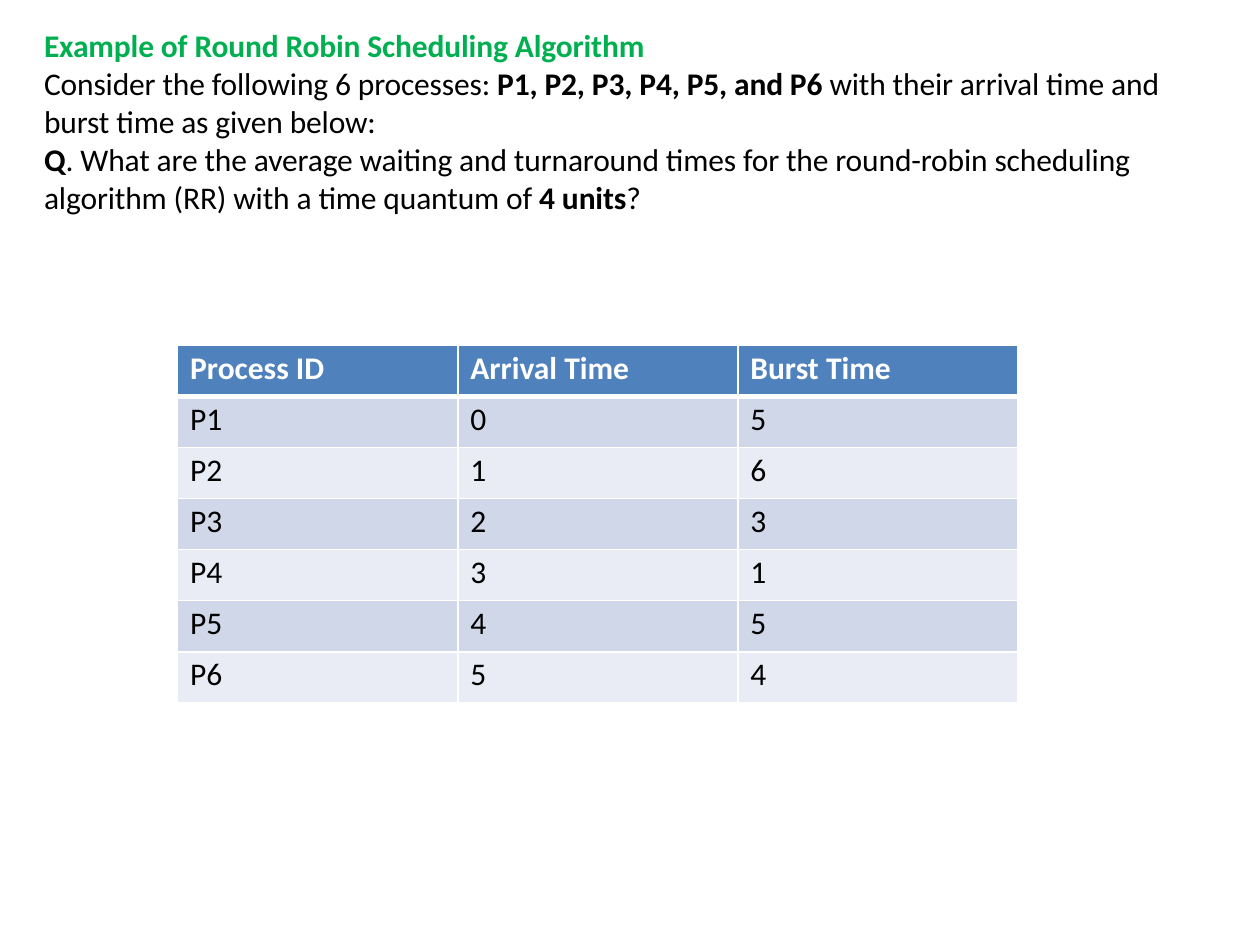
from lxml import etree
from pptx import Presentation
from pptx.dml.color import RGBColor
from pptx.oxml.ns import qn
from pptx.util import Inches, Pt

COLORS = {
    "title": "00AF50", "text": "000000", "header": "4F81BC",
    "odd": "D0D7E8", "even": "E9ECF4", "white": "FFFFFF",
}
FONT, SIZE = "Calibri", 18
TRACKING = -8  # hundredths of a point

# Each line is a list of (wording, bold) runs.
QUESTION = [
    [("Example of Round Robin Scheduling Algorithm", True)],
    [("Consider the following 6 processes: ", False),
     ("P1, P2, P3, P4, P5, and P6 ", True),
     ("with their arrival time and", False)],
    [("burst time as given below:", False)],
    [("Q", True),
     (". What are the average waiting and turnaround times for the "
      "round-robin scheduling", False)],
    [("algorithm (RR) with a time quantum of ", False),
     ("4 units", True), ("?", False)],
]
HEADER = ("Process ID", "Arrival Time", "Burst Time")
PROCESSES = [("P1", 0, 5), ("P2", 1, 6), ("P3", 2, 3),
             ("P4", 3, 1), ("P5", 4, 5), ("P6", 5, 4)]


def rgb(name):
    return RGBColor.from_string(COLORS[name])


def set_font(paragraph, color):
    paragraph.font.name = FONT
    paragraph.font.size = Pt(SIZE)
    paragraph.font.color.rgb = rgb(color)


def add_question(slide):
    box = slide.shapes.add_textbox(Inches(0.34), Inches(0.19), Inches(9), Inches(1.53))
    frame = box.text_frame
    frame.word_wrap = True
    frame.margin_left = Inches(0.01)
    frame.margin_top = Inches(0.02)
    frame.margin_right = frame.margin_bottom = 0
    for index, line in enumerate(QUESTION):
        paragraph = frame.add_paragraph() if index else frame.paragraphs[0]
        set_font(paragraph, "text" if index else "title")
        for wording, bold in line:
            run = paragraph.add_run()
            run.text = wording
            run.font.bold = bold
            run._r.get_or_add_rPr().set("spc", str(TRACKING))


def set_borders(cell, top, bottom):
    """Draw white borders; top and bottom are widths in points."""
    properties = cell._tc.get_or_add_tcPr()
    widths = {"a:lnL": 1, "a:lnR": 1, "a:lnT": top, "a:lnB": bottom}
    for position, (tag, width) in enumerate(widths.items()):
        line = etree.Element(qn(tag), w=str(Pt(width)))
        fill = etree.SubElement(line, qn("a:solidFill"))
        etree.SubElement(fill, qn("a:srgbClr"), val=COLORS["white"])
        properties.insert(position, line)


def add_process_table(slide):
    rows = [HEADER] + PROCESSES
    table = slide.shapes.add_table(
        len(rows), len(HEADER),
        Inches(1.41), Inches(2.74), Inches(6.67), Inches(2.84)).table
    for r, values in enumerate(rows):
        is_header = r == 0
        fill = "header" if is_header else "odd" if r % 2 else "even"
        for c, value in enumerate(values):
            cell = table.cell(r, c)
            cell.fill.solid()
            cell.fill.fore_color.rgb = rgb(fill)
            set_borders(cell, top=3 if r == 1 else 1, bottom=3 if is_header else 1)
            cell.margin_left = Inches(0.1)
            cell.margin_top = Inches(0.03)
            cell.margin_right = cell.margin_bottom = 0
            cell.text = str(value)
            paragraph = cell.text_frame.paragraphs[0]
            set_font(paragraph, "white" if is_header else "text")
            paragraph.font.bold = is_header


def main():
    presentation = Presentation()
    presentation.slide_width = Inches(10)
    presentation.slide_height = Inches(7.5)
    slide = presentation.slides.add_slide(presentation.slide_layouts[6])
    add_question(slide)
    add_process_table(slide)
    presentation.save("out.pptx")


if __name__ == "__main__":
    main()
